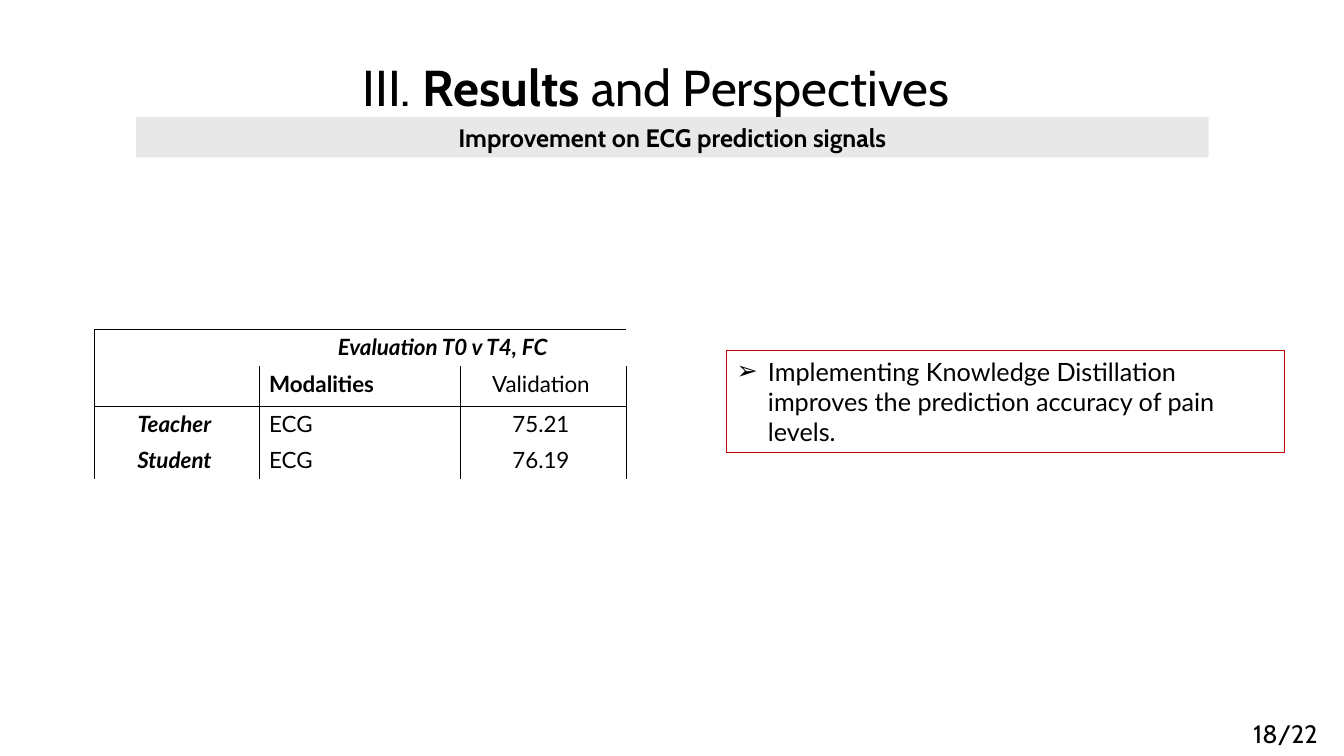
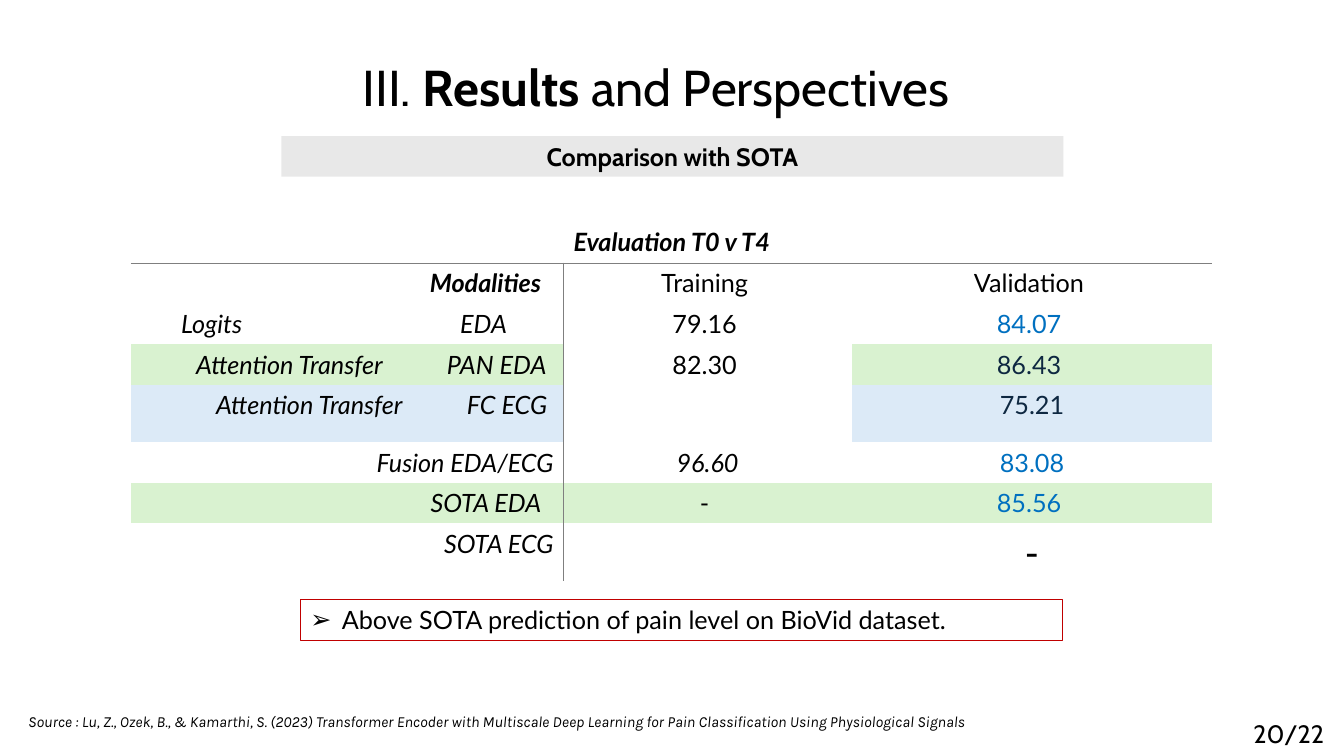
from dataclasses import dataclass
from lxml import etree
from pptx import Presentation
from pptx import util as u
from pptx.dml.color import RGBColor
from pptx.enum import shapes, text
from pptx.oxml import ns

LEFT, MID, RIGHT = text.PP_ALIGN.LEFT, text.PP_ALIGN.CENTER, text.PP_ALIGN.RIGHT
PLAIN = "{2D5ABB26-0587-4C30-8999-92F81FD0307C}"


@dataclass(frozen=True)
class Theme:
    ink: str = "000000"
    navy: str = "0E2841"
    blue: str = "0070C0"
    red: str = "C00000"
    gray: str = "7F7F7F"
    band: str = "E8E8E8"
    green: str = "D9F2D0"
    sky: str = "DCEAF7"
    head: str = "Cabin"
    body: str = "Lato"
    note: str = "Karla"
    title: int = 36
    main: int = 18
    cell: int = 16
    small: int = 11
    dash: int = 28


T = Theme()


def rgb(code):
    return RGBColor.from_string(code)


def add(root, tag, **attrs):
    node = etree.SubElement(root, ns.qn(tag))
    for key, val in attrs.items():
        node.set(key, str(val))
    return node


def put(frame, runs, face=T.body, size=T.main, color=T.ink, bold=False,
        ital=False, align=LEFT, lead=None, tabs=(), mark=None):
    para = frame.paragraphs[0]
    para.alignment = align
    para.space_before = u.Pt(0)
    if lead:
        para.line_spacing = u.Pt(lead)
    props = para._p.get_or_add_pPr()
    if mark:
        props.set("marL", str(u.Cm(0.79)))
        props.set("indent", str(-u.Cm(0.79)))
        add(props, "a:buFont", typeface="Wingdings" if mark == "Ø" else "Arial")
        add(props, "a:buChar", char=mark)
    if tabs:
        stops = add(props, "a:tabLst")
        for pos in tabs:
            add(stops, "a:tab", pos=u.Cm(pos), algn="l")
    for words, heavy in [(runs, bold)] if isinstance(runs, str) else runs:
        run = para.add_run()
        run.text = words
        font = run.font
        font.name, font.size = face, u.Pt(size)
        font.bold, font.italic = heavy, ital
        font.color.rgb = rgb(color)


class Deck:
    def __init__(self, theme):
        self.theme = theme
        self.file = Presentation()
        self.file.slide_width = u.Cm(33.87)
        self.file.slide_height = u.Cm(19.05)
        self.slide = None

    def place(self, shape, box):
        shape.left, shape.top, shape.width, shape.height = map(u.Cm, box)
        frame = shape.text_frame
        frame.word_wrap = True
        frame.auto_size = text.MSO_AUTO_SIZE.NONE
        frame.vertical_anchor = text.MSO_ANCHOR.TOP
        return frame

    def page(self, num):
        self.slide = self.file.slides.add_slide(self.file.slide_layouts[1])
        frame = self.place(self.slide.shapes.title, (0, 0, 33.06, 2.95))
        frame.margin_left = frame.margin_right = 0
        frame.margin_top = frame.margin_bottom = 0
        runs = [("III. ", False), ("Results", True), (" and Perspectives", False)]
        put(frame, runs, face=self.theme.head, size=self.theme.title,
            align=MID, lead=83)
        self.label(f"{num}/22", (31.34, 17.98, 2.46, 1.02), face=self.theme.head)

    def label(self, words, box, **style):
        shape = self.slide.shapes.add_textbox(*map(u.Cm, box))
        put(self.place(shape, box), words, **style)

    def band(self, words, box):
        shape = self.slide.shapes.add_shape(
            shapes.MSO_SHAPE.RECTANGLE, *map(u.Cm, box))
        shape.shadow.inherit = False
        shape.fill.solid()
        shape.fill.fore_color.rgb = rgb(self.theme.band)
        shape.line.fill.background()
        put(self.place(shape, box), words, face=self.theme.head,
            bold=True, align=MID)

    def point(self, words, box):
        shape = self.slide.placeholders[1]
        shape.line.color.rgb = rgb(self.theme.red)
        shape.line.width = u.Pt(0.75)
        put(self.place(shape, box), words, mark="➢")

    def grid(self, left, top, cols, rows, cells, sides, fills, line, pad, size):
        frame = self.slide.shapes.add_table(
            len(rows), len(cols), u.Cm(left), u.Cm(top),
            u.Cm(sum(cols)), u.Cm(sum(rows)))
        table = frame.table
        table.first_row = table.horz_banding = False
        table._tbl.tblPr.find(ns.qn("a:tableStyleId")).text = PLAIN
        for col, wide in zip(table.columns, cols):
            col.width = u.Cm(wide)
        for row, high in zip(table.rows, rows):
            row.height = u.Cm(high)
        for r in range(len(rows)):
            for c in range(len(cols)):
                cell = table.cell(r, c)
                cell.margin_top = cell.margin_bottom = u.Cm(pad)
                self.paint(cell, fills.get((r, c)))
                self.edge(cell, sides(r, c), *line)
                if (r, c) in cells:
                    words, style = cells[r, c]
                    style = {"size": size, "align": MID, **style}
                    cell.margin_right = u.Cm(style.pop("gap", 0.25))
                    put(cell.text_frame, words, **style)
        return table

    def paint(self, cell, color):
        if color:
            cell.fill.solid()
            cell.fill.fore_color.rgb = rgb(color)
        else:
            cell.fill.background()

    def edge(self, cell, sides, color, width):
        props = cell._tc.get_or_add_tcPr()
        for i, side in enumerate("LRTB"):
            line = etree.Element(ns.qn(f"a:ln{side}"))
            if side in sides:
                line.set("w", str(u.Pt(width)))
                add(add(line, "a:solidFill"), "a:srgbClr", val=color)
            else:
                line.set("w", "0")
                add(line, "a:noFill")
            props.insert(i, line)


def gains(deck):
    deck.page(18)
    deck.band("Improvement on ECG prediction signals", (3.43, 2.95, 27.03, 1.02))
    strong = {"bold": True, "ital": True}
    cells = {
        (0, 1): ("Evaluation T0 v T4, FC", strong),
        (1, 1): ("Modalities", {"bold": True, "align": LEFT}),
        (1, 2): ("Validation", {"gap": 0.38}),
    }
    scores = [("Teacher", "75.21"), ("Student", "76.19")]
    for r, (name, score) in enumerate(scores, 2):
        cells[r, 0] = name, {**strong, "gap": 0.38}
        cells[r, 1] = "ECG", {"align": LEFT}
        cells[r, 2] = score, {"gap": 0.38}

    def sides(r, c):
        return (("T" if r in (0, 2) else "") + ("B" if r == 1 else "")
                + ("L" if c == 0 or r else "") + ("R" if c == 2 and r else ""))

    table = deck.grid(2.39, 8.31, (4.14, 5.08, 4.17), (0.92, 1.02, 0.91, 0.91),
                      cells, sides, {}, (T.ink, 1), 0.1, T.cell)
    table.cell(0, 0).merge(table.cell(1, 0))
    table.cell(0, 1).merge(table.cell(0, 2))
    deck.point("Implementing Knowledge Distillation improves the prediction "
               "accuracy of pain levels.", (18.31, 8.84, 14.05, 2.57))


def rivals(deck):
    deck.page(20)
    deck.band("Comparison with SOTA", (7.09, 3.43, 19.71, 1.02))
    near, far = {"gap": 0.25}, {"gap": 0.4}
    end = {"ital": True, "align": RIGHT}
    blue, navy = {"color": T.blue}, {"color": T.navy}

    def split(*tabs):
        return {"ital": True, "align": LEFT, "tabs": tabs}

    lines = [
        [None, ("Evaluation T0 v T4", {"bold": True, "ital": True, "align": LEFT}), None],
        [("Modalities", {**end, "bold": True, "gap": 0.56}),
         ("Training", far), ("Validation", far)],
        [("\tLogits\tEDA", split(1.01, 8.04)),
         ("79.16", far), ("84.07", {**blue, **far})],
        [("\tAttention Transfer\tPAN EDA", split(1.39, 7.71)),
         ("82.30", far), ("86.43", {**navy, **far})],
        [("\tAttention Transfer\tFC ECG", split(1.89, 8.21)),
         None, ("75.21", {**navy, **near})],
        [("Fusion EDA/ECG", end), ("96.60", {"ital": True}), ("83.08", blue)],
        [("SOTA EDA", {**end, "gap": 0.56}),
         ("-", far), ("85.56", {**blue, **far})],
        [("SOTA ECG", end), None, ("-", {"size": T.dash})],
    ]
    cells = {(r, c): item for r, line in enumerate(lines)
             for c, item in enumerate(line) if item}
    fills = {(r, c): color for r, color, cols in
             ((3, T.green, (0, 2)), (4, T.sky, (0, 2)), (6, T.green, (0, 1, 2)))
             for c in cols}

    def sides(r, c):
        return ("T" if r == 1 else "B" if r == 0 else "") + (
            "L" if c == 1 and r else "R" if c == 0 and r else "")

    rows = [1.45 if r in (4, 7) else 1.02 for r in range(len(lines))]
    deck.grid(3.3, 5.59, (10.9, 7.26, 9.09), rows, cells, sides, fills,
              (T.gray, 0.5), 0.13, T.main)
    deck.label("Source : Lu, Z., Ozek, B., & Kamarthi, S. (2023) Transformer "
               "Encoder with Multiscale Deep Learning for Pain Classification "
               "Using Physiological Signals", (0.46, 17.81, 32.97, 0.74),
               face=T.note, size=T.small, ital=True)
    deck.point("Above SOTA prediction of pain level on BioVid dataset.",
               (7.57, 15.11, 19.2, 1.02))


def main():
    deck = Deck(T)
    gains(deck)
    rivals(deck)
    deck.file.save("out.pptx")


if __name__ == "__main__":
    main()
